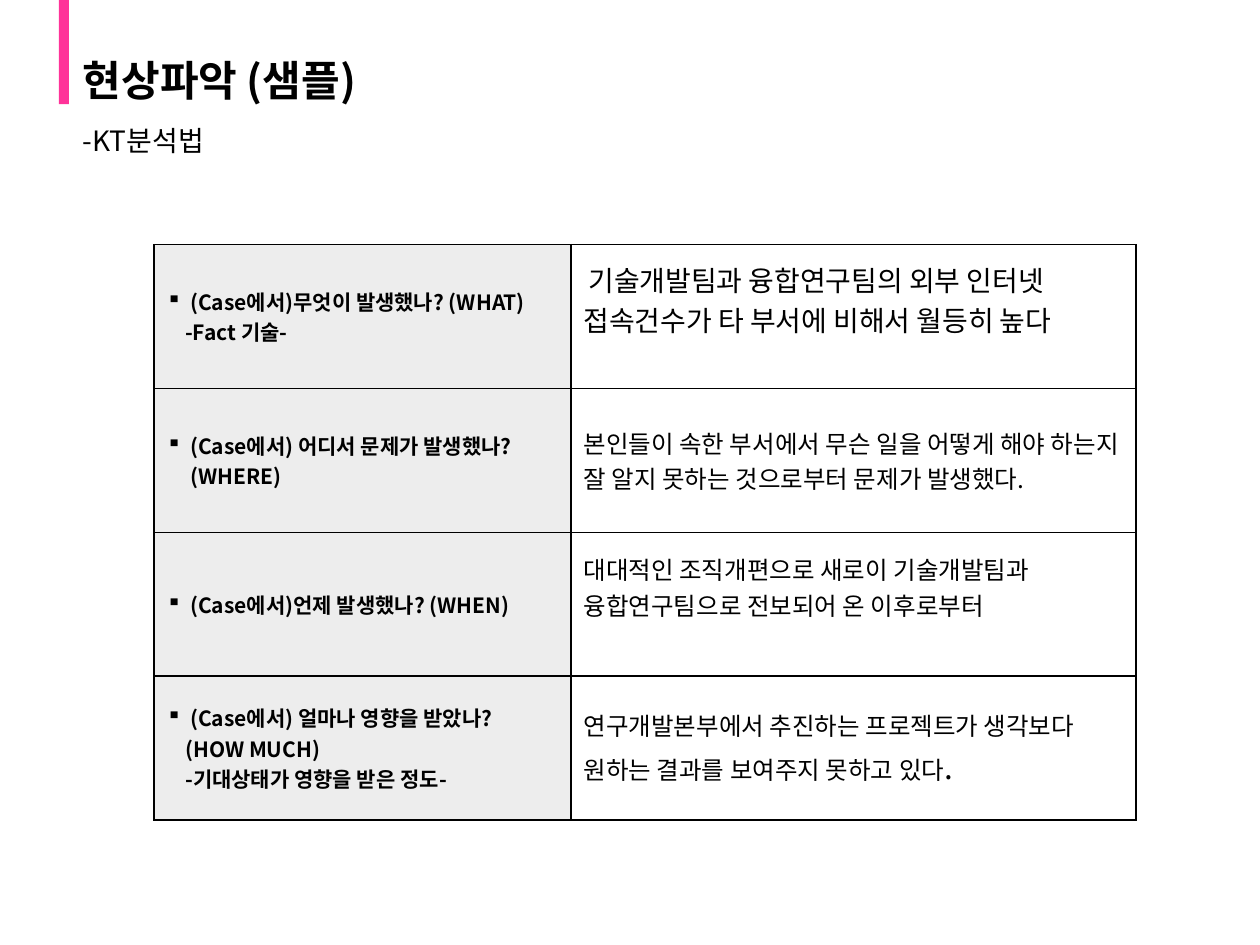
from lxml.etree import SubElement
from pptx import Presentation
from pptx.dml.color import RGBColor
from pptx.enum.shapes import MSO_SHAPE as Preset
from pptx.enum.text import MSO_ANCHOR as Anchor, PP_ALIGN as Align
from pptx.oxml import parse_xml
from pptx.oxml.ns import nsdecls, qn
from pptx.util import Cm, Pt

FONT = "Noto Sans CJK KR"
BLACK, WHITE, PINK, GREY = "000000", "FFFFFF", "FF3399", "EDEDED"
HANGING = Cm(0.48)
CONTINUED = Cm(0.38)
QUESTION_SIZE = 12

ROWS = [
    {"question": ["(Case에서)무엇이 발생했나? (WHAT)", "-Fact 기술-"],
     "answer": [("기술개발팀과 융합연구팀의 외부 인터넷 접속건수가 타 부서에 비해서 월등히 높다", 16)],
     "indent": 0.1, "lift": 0.7},
    {"question": ["(Case에서) 어디서 문제가 발생했나? (WHERE)"],
     "answer": [("본인들이 속한 부서에서 무슨 일을 어떻게 해야 하는지 잘 알지 못하는 것으로부터 문제가 발생했다.", 14)]},
    {"question": ["(Case에서)언제 발생했나? (WHEN)"],
     "answer": [("대대적인 조직개편으로 새로이 기술개발팀과 융합연구팀으로 전보되어 온 이후로부터", 14)],
     "lift": 0.7},
    {"question": ["(Case에서) 얼마나 영향을 받았나?", "(HOW MUCH)", "-기대상태가 영향을 받은 정도-"],
     "answer": [("연구개발본부에서 추진하는 프로젝트가 생각보다 원하는 결과를 보여주지 못하고 있다", 14),
                (".", 18)]},
]


def paint(fill, color):
    """Fill with one solid hex colour."""
    fill.solid()
    fill.fore_color.rgb = RGBColor.from_string(color)


def style_run(run, size, bold=False):
    """Set font, size, weight and colour for Latin and Korean text."""
    run.font.name = FONT
    run.font.size = Pt(size)
    run.font.bold = bold
    paint(run.font.fill, BLACK)
    SubElement(run.font._element, qn("a:ea"), typeface=FONT)


def indent(paragraph, left, first=0, bullet=None):
    """Set the left margin, first-line indent and optional bullet."""
    properties = paragraph._p.get_or_add_pPr()
    properties.set("marL", str(int(left)))
    properties.set("indent", str(int(first)))
    if bullet:
        SubElement(properties, qn("a:buChar"), char=bullet)


def outline(cell):
    """Draw a thin black border on all four sides of a cell."""
    properties = cell._tc.get_or_add_tcPr()
    for position, side in enumerate("LRTB"):
        properties.insert(position, parse_xml(
            f'<a:ln{side} {nsdecls("a")} w="12700"><a:solidFill>'
            f'<a:srgbClr val="{BLACK}"/></a:solidFill></a:ln{side}>'))


def add_heading(slide, left, top, width, height, text, size, bold=False,
                anchor=Anchor.TOP, align=Align.LEFT):
    """Add one line of heading text."""
    frame = slide.shapes.add_textbox(left, top, width, height).text_frame
    frame.word_wrap = True
    frame.vertical_anchor = anchor
    frame.text = text
    heading = frame.paragraphs[0]
    heading.alignment = align
    heading.line_spacing = 0.9
    style_run(heading.runs[0], size, bold)


def add_header(slide, left, top, width):
    """Add the accent bar, the title and the subtitle."""
    bar = slide.shapes.add_shape(Preset.RECTANGLE, left, top, Cm(0.2), Cm(2.1))
    bar.shadow.inherit = False
    paint(bar.fill, PINK)
    bar.line.fill.background()
    text_left = left + Cm(0.23)
    add_heading(slide, text_left, top + Cm(1.07), Cm(18.2), Cm(1.2),
                "현상파악 (샘플)", 24, True, Anchor.MIDDLE)
    add_heading(slide, text_left, top + Cm(2.44), width - Cm(0.23), Cm(2.5),
                "-KT분석법", 16, align=Align.JUSTIFY)


def fill_question(cell, lines):
    """Write a bulleted question with its continuation lines."""
    cell.text_frame.text = "\n".join(lines)
    first, *rest = cell.text_frame.paragraphs
    indent(first, HANGING, -HANGING, "▪")
    for paragraph in rest:
        indent(paragraph, CONTINUED)
    for paragraph in cell.text_frame.paragraphs:
        style_run(paragraph.runs[0], QUESTION_SIZE, True)


def fill_answer(cell, parts, first_indent, lift):
    """Write an answer, raised from the middle by a deeper bottom margin."""
    paragraph = cell.text_frame.paragraphs[0]
    indent(paragraph, 0, Cm(first_indent))
    for text, size in parts:
        run = paragraph.add_run()
        run.text = text
        style_run(run, size)
    cell.margin_bottom = Cm(0.13 + lift)


def add_analysis(slide, left, top, width, height):
    """Add the table of questions and answers."""
    table = slide.shapes.add_table(len(ROWS), 2, left, top, width, height).table
    table.first_row = table.horz_banding = False
    table.columns[0].width = Cm(8.41)
    table.columns[1].width = width - Cm(8.41)
    for index, row in enumerate(ROWS):
        question, answer = table.cell(index, 0), table.cell(index, 1)
        for cell, color in ((question, GREY), (answer, WHITE)):
            cell.vertical_anchor = Anchor.MIDDLE
            paint(cell.fill, color)
            outline(cell)
        fill_question(question, row["question"])
        fill_answer(answer, row["answer"], row.get("indent", 0), row.get("lift", 0))


def main():
    """Build and save the slide."""
    deck = Presentation()
    deck.slide_width, deck.slide_height = Cm(25.4), Cm(19.05)
    slide = deck.slides.add_slide(deck.slide_layouts[6])
    add_header(slide, Cm(1.19), Cm(0), Cm(22.7))
    add_analysis(slide, Cm(3.1), Cm(4.93), Cm(19.8), Cm(11.6))
    deck.save("out.pptx")


if __name__ == "__main__":
    main()
